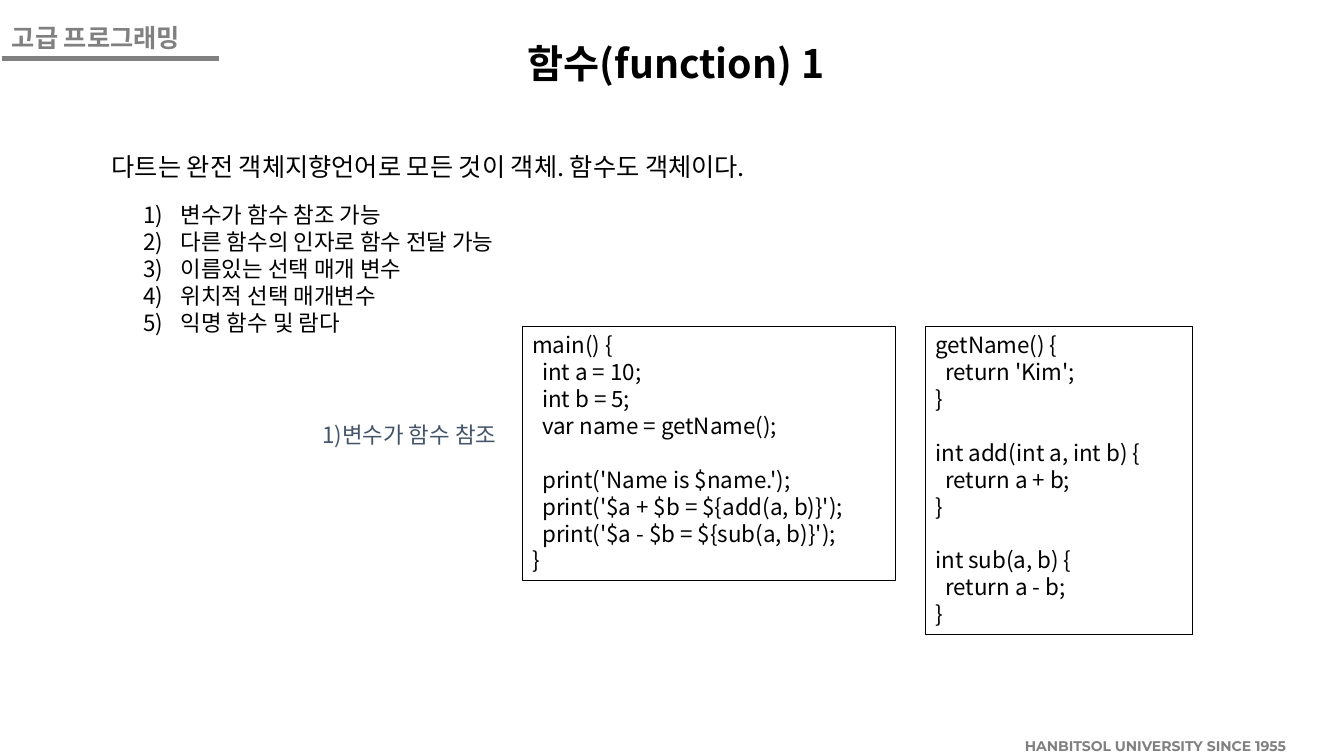
from dataclasses import dataclass

from lxml.etree import SubElement
from pptx import Presentation
from pptx.dml.color import RGBColor
from pptx.enum.shapes import MSO_CONNECTOR as Connector, MSO_SHAPE as Preset
from pptx.enum.text import MSO_ANCHOR as Anchor, MSO_AUTO_SIZE as AutoSize, PP_ALIGN as Align
from pptx.oxml.ns import qn
from pptx.util import Pt

BLACK = RGBColor(0x00, 0x00, 0x00)
GRAY = RGBColor(0x80, 0x80, 0x80)
SLATE = RGBColor(0x44, 0x54, 0x6A)
KOREAN_FONT = "Noto Sans CJK KR"
FOOTER_FONT = "Montserrat"
LINE_RATIO = 1.2
CODE_SIZE = 16
CODE_INDENT = 7.2
LIST_INDENT = 27


@dataclass(frozen=True)
class Box:
    left: float
    top: float
    width: float
    height: float

    def lengths(self) -> tuple:
        return Pt(self.left), Pt(self.top), Pt(self.width), Pt(self.height)


@dataclass(frozen=True)
class Style:
    size: float
    color: RGBColor = BLACK
    bold: bool = False
    font: str = KOREAN_FONT
    align: Align = Align.LEFT


@dataclass(frozen=True)
class Label:
    text: str
    box: Box
    style: Style


@dataclass(frozen=True)
class CodePanel:
    code: str
    box: Box


TITLE = Label("함수(function) 1", Box(368, 24.5, 229.7, 41),
              Style(28, bold=True, align=Align.CENTER))
TOPICS = Label(
    "변수가 함수 참조 가능\n다른 함수의 인자로 함수 전달 가능\n이름있는 선택 매개 변수\n"
    "위치적 선택 매개변수\n익명 함수 및 람다",
    Box(95, 140.4, 296.6, 106.6), Style(16))
LABELS = [
    Label("HANBITSOL UNIVERSITY SINCE 1955", Box(725, 523.4, 229.7, 20.2),
          Style(10, GRAY, True, FOOTER_FONT)),
    Label("고급 프로그래밍", Box(1.4, 12.2, 148.3, 28.8), Style(18, GRAY, True)),
    Label("다트는 완전 객체지향언어로 모든 것이 객체. 함수도 객체이다.",
          Box(72.7, 104.4, 517.7, 28.8), Style(18)),
    Label("1)변수가 함수 참조", Box(223.2, 297.4, 152.6, 26.6), Style(16, SLATE)),
]
MAIN_CODE = """main() {
  int a = 10;
  int b = 5;
  var name = getName();

  print('Name is $name.');
  print('$a + $b = ${add(a, b)}');
  print('$a - $b = ${sub(a, b)}');
}"""
FUNCTIONS_CODE = """getName() {
  return 'Kim';
}

int add(int a, int b) {
  return a + b;
}

int sub(a, b) {
  return a - b;
}"""
PANELS = [
    CodePanel(MAIN_CODE, Box(373, 233.3, 266.4, 181.4)),
    CodePanel(FUNCTIONS_CODE, Box(661, 233.3, 190.8, 220.3)),
]


def place(shape, box: Box) -> None:
    shape.left, shape.top, shape.width, shape.height = box.lengths()


def write(shape, text: str, style: Style) -> None:
    text_frame = shape.text_frame
    text_frame.text = text
    text_frame.word_wrap = True
    text_frame.auto_size = AutoSize.NONE
    text_frame.vertical_anchor = Anchor.TOP
    for paragraph in text_frame.paragraphs:
        paragraph.alignment = style.align
        paragraph.line_spacing = Pt(style.size * LINE_RATIO)
        paragraph.space_before = Pt(0)
        for run in paragraph.runs:
            run.font.size = Pt(style.size)
            run.font.bold = style.bold
            run.font.name = style.font
            run.font.color.rgb = style.color
            SubElement(run.font._element, qn("a:ea")).set("typeface", style.font)


def indent(paragraph, margin: float, first_line: float = 0):
    properties = paragraph._p.get_or_add_pPr()
    properties.set("marL", str(Pt(margin)))
    properties.set("indent", str(Pt(first_line)))
    return properties


def add_label(slide, label: Label) -> None:
    write(slide.shapes.add_textbox(*label.box.lengths()), label.text, label.style)


def fill_placeholder(shape, label: Label) -> None:
    place(shape, label.box)
    write(shape, label.text, label.style)


def number_list(shape) -> None:
    for paragraph in shape.text_frame.paragraphs:
        properties = indent(paragraph, LIST_INDENT, -LIST_INDENT)
        SubElement(properties, qn("a:buFont")).set("typeface", KOREAN_FONT)
        SubElement(properties, qn("a:buAutoNum")).set("type", "arabicParenR")


def add_code_panel(slide, panel: CodePanel) -> None:
    shape = slide.shapes.add_shape(Preset.RECTANGLE, *panel.box.lengths())
    shape.shadow.inherit = False
    shape.fill.background()
    shape.line.color.rgb = BLACK
    shape.line.width = Pt(0.75)
    blocks = [block.split("\n") for block in panel.code.split("\n\n")]
    lines = [line for block in blocks for line in block]
    write(shape, "\n".join(line.strip() for line in lines), Style(CODE_SIZE))
    paragraphs = shape.text_frame.paragraphs
    for line, paragraph in zip(lines, paragraphs):
        if line.startswith(" "):
            indent(paragraph, CODE_INDENT)
    block_start = 0
    for block in blocks[:-1]:
        block_start += len(block)
        paragraphs[block_start].space_before = Pt(CODE_SIZE * LINE_RATIO)


def add_header_rule(slide) -> None:
    rule = slide.shapes.add_connector(Connector.STRAIGHT, Pt(1.4), Pt(41.8), Pt(156.2), Pt(41.8))
    rule.line.color.rgb = GRAY
    rule.line.width = Pt(3.75)
    SubElement(rule._element.spPr, qn("a:effectLst"))


def main() -> None:
    presentation = Presentation()
    presentation.slide_width, presentation.slide_height = Pt(960), Pt(540)
    slide = presentation.slides.add_slide(presentation.slide_layouts[1])
    fill_placeholder(slide.shapes.title, TITLE)
    body = slide.placeholders[1]
    fill_placeholder(body, TOPICS)
    number_list(body)
    add_header_rule(slide)
    for label in LABELS:
        add_label(slide, label)
    for panel in PANELS:
        add_code_panel(slide, panel)
    presentation.save("out.pptx")


if __name__ == "__main__":
    main()
